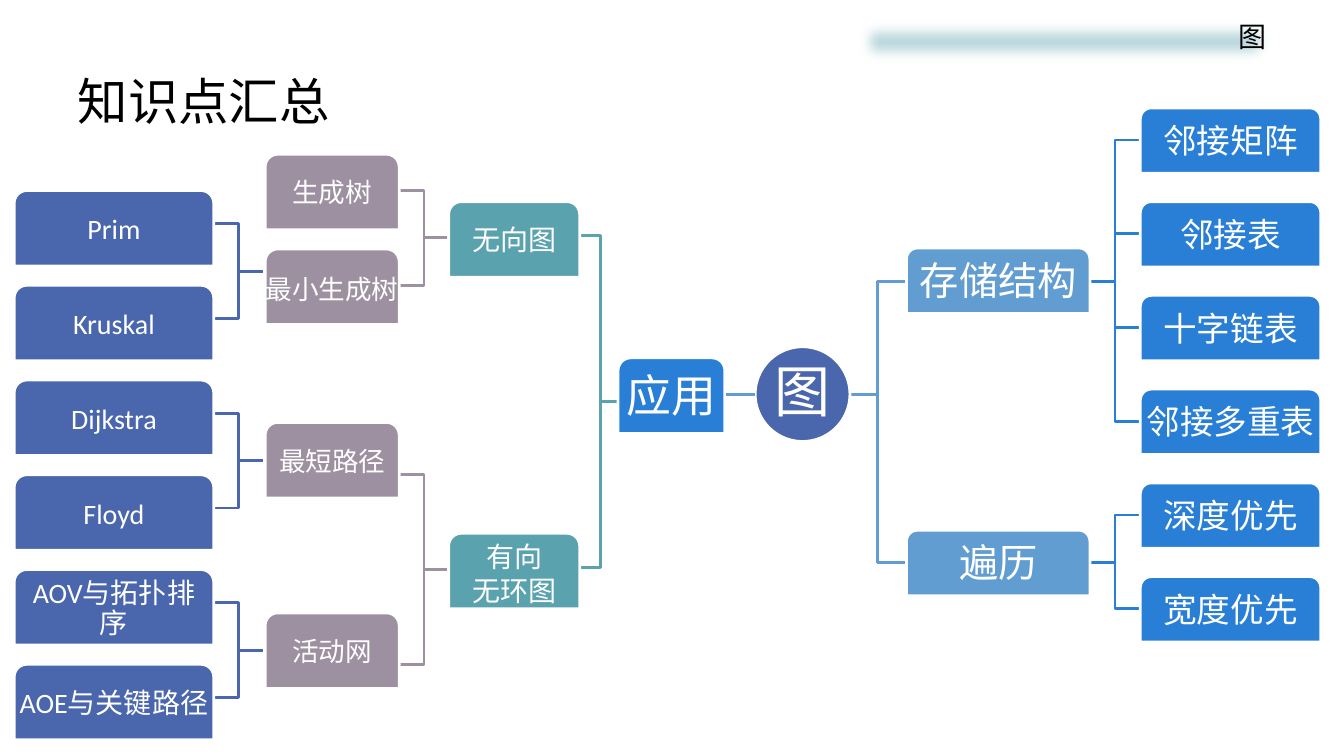
from lxml import etree
from pptx import Presentation
from pptx.dml.color import RGBColor
from pptx.enum.shapes import MSO_CONNECTOR, MSO_SHAPE
from pptx.enum.text import MSO_ANCHOR, MSO_AUTO_SIZE, PP_ALIGN
from pptx.oxml.ns import qn
from pptx.util import Emu, Pt

EMU_PER_PX = 9144
RECT = MSO_SHAPE.RECTANGLE
OVAL = MSO_SHAPE.OVAL
TAB = MSO_SHAPE.ROUND_2_SAME_RECTANGLE
ELBOW = MSO_CONNECTOR.ELBOW
STRAIGHT = MSO_CONNECTOR.STRAIGHT
LEFT, CENTER, RIGHT = PP_ALIGN.LEFT, PP_ALIGN.CENTER, PP_ALIGN.RIGHT
TOP, MIDDLE = MSO_ANCHOR.TOP, MSO_ANCHOR.MIDDLE
NO_FIT = MSO_AUTO_SIZE.NONE

CJK = "Noto Sans CJK SC"
WHITE, BLACK = "FFFFFF", "000000"
INDIGO, BLUE, SKY = "4A66AC", "297FD5", "629DD1"
TEAL, MAUVE, PALE = "5AA2AE", "9D90A0", "BDDADF"


def px(length):
    return Emu(length * EMU_PER_PX)


def color(hex_value):
    return RGBColor.from_string(hex_value)


def write(frame, label, size, font, ink, align, anchor, margins, spacing=1.0, wrap=True):
    frame.auto_size = NO_FIT
    frame.word_wrap = wrap
    frame.vertical_anchor = anchor
    (frame.margin_left, frame.margin_top,
     frame.margin_right, frame.margin_bottom) = map(px, margins)
    for index, line in enumerate(label.split("\n")):
        paragraph = frame.add_paragraph() if index else frame.paragraphs[0]
        paragraph.alignment = align
        paragraph.line_spacing = spacing
        run = paragraph.add_run()
        run.text = line
        run.font.size = Pt(size)
        run.font.name = font
        run.font.color.rgb = color(ink)
        east_asian = etree.SubElement(run.font._element, qn("a:ea"))
        east_asian.set("typeface", CJK)


def add_title(slide, label):
    title = slide.shapes.title
    title.left, title.top, title.width, title.height = map(px, (67, 62, 1200, 75))
    write(title.text_frame, label, 36, CJK, BLACK, LEFT, MIDDLE, (10, 5, 10, 5))


def add_header_band(slide, label):
    band = slide.shapes.add_shape(RECT, *map(px, (846, 14, 420, 54)))
    band.fill.solid()
    band.fill.fore_color.rgb = color(PALE)
    band.line.fill.background()
    effects = etree.SubElement(band._element.spPr, qn("a:effectLst"))
    etree.SubElement(effects, qn("a:softEdge")).set("rad", "127000")
    write(band.text_frame, label, 20, "Arial", BLACK, RIGHT, TOP, (10, 5, 10, 5))


def add_node(slide, preset, box, fill, label, size, font, spacing=0.9, wrap=False):
    node = slide.shapes.add_shape(preset, *map(px, box))
    node.shadow.inherit = False
    node.fill.solid()
    node.fill.fore_color.rgb = color(fill)
    node.line.color.rgb = color(WHITE)
    node.line.width = Pt(2)
    write(node.text_frame, label, size, font, WHITE, CENTER, MIDDLE,
          (1, 2, 1, 1), spacing, wrap)


def add_link(slide, kind, start, end, stroke):
    link = slide.shapes.add_connector(kind, *map(px, start + end))
    link.line.color.rgb = color(stroke)
    link.line.width = Pt(2)
    etree.SubElement(link._element.spPr, qn("a:effectLst"))


def add_branch(slide, start, end_x, end_ys, stroke):
    for end_y in end_ys:
        add_link(slide, ELBOW, start, (end_x, end_y), stroke)


def add_structure_side(slide):
    leaves = ["邻接矩阵", "邻接表", "十字链表", "邻接多重表", "深度优先", "宽度优先"]
    tops = [107 + 93 * row for row in range(len(leaves))]
    ends = [top + 32 for top in tops]
    add_branch(slide, (1081, 279), 1131, ends[:4], BLUE)
    add_branch(slide, (1081, 558), 1131, ends[4:], BLUE)
    add_branch(slide, (842, 391), 899, [279, 558], SKY)
    for top, label in [(246, "存储结构"), (526, "遍历")]:
        add_node(slide, TAB, (899, top, 182, 65), SKY, label, 28, "Arial")
    for top, label in zip(tops, leaves):
        add_node(slide, TAB, (1131, top, 179, 65), BLUE, label, 24, "Arial")


def add_application_side(slide):
    algorithms = ["Prim", "Kruskal", "Dijkstra", "Floyd", "AOV与拓扑排序", "AOE与关键路径"]
    tops = [189 + 94 * row for row in range(len(algorithms))]
    ends = [top + 33 for top in tops]
    for pair, start_y in enumerate([269, 457, 645]):
        add_branch(slide, (261, start_y), 212, ends[2 * pair:2 * pair + 2], INDIGO)
    add_branch(slide, (445, 236), 396, [189, 283], MAUVE)
    add_branch(slide, (445, 565), 396, [471, 659], MAUVE)
    add_branch(slide, (617, 398), 574, [234, 563], TEAL)

    add_node(slide, TAB, (613, 355, 106, 75), BLUE, "应用", 32, "Calibri")
    for top, label, spacing in [(200, "无向图", 0.9), (529, "有向\n无环图", 1.0)]:
        add_node(slide, TAB, (445, top, 130, 75), TEAL, label, 20, "Calibri", spacing)
    topics = [(153, "生成树", 0.9), (247, "最小生成树", 1.0),
              (419, "最短路径", 0.9), (608, "活动网", 0.9)]
    for top, label, spacing in topics:
        add_node(slide, TAB, (263, top, 133, 75), MAUVE, label, 19, "Calibri", spacing)
    for top, label in zip(tops, algorithms):
        add_node(slide, TAB, (14, top, 198, 75), INDIGO, label, 20, "Calibri", wrap=True)


def main():
    deck = Presentation()
    deck.slide_width, deck.slide_height = px(1333), px(750)
    slide = deck.slides.add_slide(deck.slide_layouts[5])
    add_title(slide, "知识点汇总")
    add_header_band(slide, "图")
    add_structure_side(slide)
    add_node(slide, OVAL, (749, 344, 94, 94), INDIGO, "图", 40, "Arial")
    add_application_side(slide)
    add_link(slide, STRAIGHT, (749, 391), (720, 391), SKY)
    deck.save("out.pptx")


if __name__ == "__main__":
    main()
